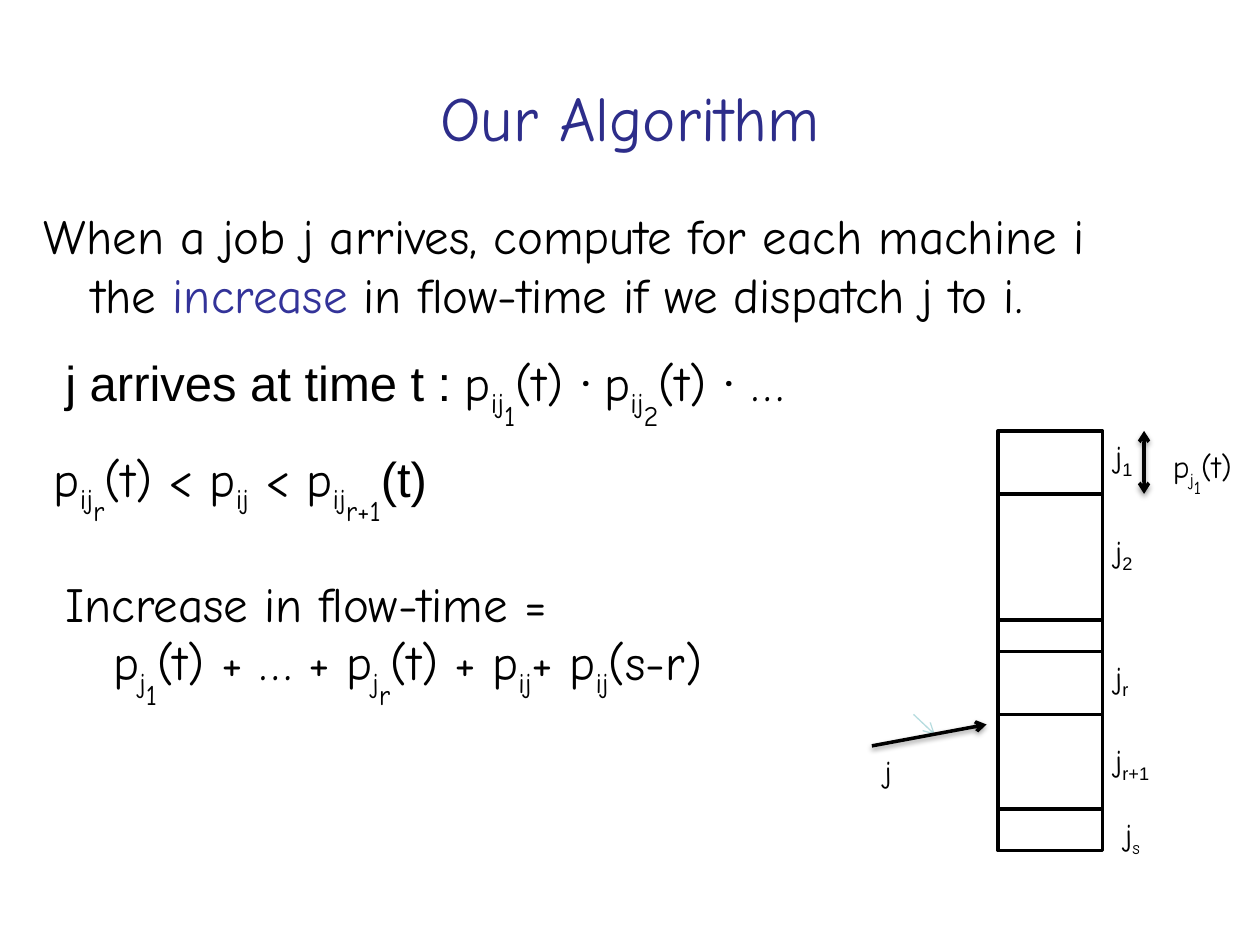
from dataclasses import dataclass

import pptx
import pptx.dml.color
import pptx.enum.shapes
import pptx.enum.text
import pptx.util
from lxml import etree
from pptx.oxml.ns import qn
from pptx.util import Inches

BLACK, NAVY, INDIGO, PALE_TEAL = "000000", "2D2D8A", "333399", "B6DCDF"
HAND, SANS, DOT = "Comic Neue", "Arial", "Roboto"
BODY_SIZE, LABEL_SIZE = 28, 18
CONTINUATION = 0.38
STACK_LEFT, STACK_TOP, STACK_WIDTH = 7.92, 3.42, 0.83


@dataclass
class Run:
    text: str
    level: int = 0  # 1 is a subscript, 2 a subscript of a subscript
    font: str = HAND
    color: str = BLACK


@dataclass
class Line:
    runs: list[Run]
    indent: float = 0


@dataclass
class Job:
    height: float
    index: list[Run]
    label_left: float = 8.75
    label_top: float = 0
    label_width: float = 0.4


def rgb(color: str) -> pptx.dml.color.RGBColor:
    return pptx.dml.color.RGBColor.from_string(color)


def term(base: str, sub: str = "", subsub: str = "") -> list[Run]:
    """Runs of a symbol with up to two levels of subscript."""
    return [Run(text, level) for level, text in enumerate((base, sub, subsub)) if text]


def add_text(slide, left: float, top: float, width: float, height: float,
             lines: list[Line], size: int = BODY_SIZE, wrap: bool = True):
    box = slide.shapes.add_textbox(Inches(left), Inches(top), Inches(width), Inches(height))
    frame = box.text_frame
    frame.word_wrap = wrap
    frame.auto_size = pptx.enum.text.MSO_AUTO_SIZE.SHAPE_TO_FIT_TEXT
    for number, line in enumerate(lines):
        paragraph = frame.add_paragraph() if number else frame.paragraphs[0]
        if line.indent:
            paragraph._p.get_or_add_pPr().set("marL", str(Inches(line.indent)))
        for part in line.runs:
            run = paragraph.add_run()
            run.text = part.text
            run.font.size = pptx.util.Pt(size)
            run.font.name = part.font
            run.font.color.rgb = rgb(part.color)
            if part.level:
                run._r.get_or_add_rPr().set("baseline", str(-25000 * part.level))
    return frame


def add_label(slide, left: float, top: float, width: float, runs: list[Run]) -> None:
    add_text(slide, left, top, width, 0.4, [Line(runs)], LABEL_SIZE, wrap=False)


def add_job_box(slide, top: float, height: float) -> None:
    box = slide.shapes.add_shape(pptx.enum.shapes.MSO_SHAPE.RECTANGLE, Inches(STACK_LEFT),
                                 Inches(top), Inches(STACK_WIDTH), Inches(height))
    box.shadow.inherit = False
    box.fill.background()
    box.line.color.rgb = rgb(BLACK)
    box.line.width = pptx.util.Pt(2)


def add_arrow(slide, start: tuple[float, float], end: tuple[float, float], color: str = BLACK,
              width: float = 2, both_ends: bool = False, shadow: bool = True) -> None:
    arrow = slide.shapes.add_connector(pptx.enum.shapes.MSO_CONNECTOR.STRAIGHT,
                                       *map(Inches, start + end))
    arrow.line.color.rgb = rgb(color)
    arrow.line.width = pptx.util.Pt(width)
    outline = arrow.line._get_or_add_ln()
    for tag in ("a:headEnd", "a:tailEnd") if both_ends else ("a:tailEnd",):
        etree.SubElement(outline, qn(tag), type="arrow")
    effects = etree.SubElement(arrow._element.spPr, qn("a:effectLst"))
    if shadow:
        cast = etree.SubElement(effects, qn("a:outerShdw"), blurRad=str(pptx.util.Pt(3.1)),
                                dist=str(pptx.util.Pt(1.6)), dir="5400000", rotWithShape="0")
        tint = etree.SubElement(cast, qn("a:srgbClr"), val=BLACK)
        etree.SubElement(tint, qn("a:alpha"), val="38000")


def add_explanation(slide) -> None:
    title = add_text(slide, 0.5, 0.3, 9, 1.25, [Line([Run("Our Algorithm", color=NAVY)])], 36)
    title.auto_size = pptx.enum.text.MSO_AUTO_SIZE.NONE
    title.vertical_anchor = pptx.enum.text.MSO_ANCHOR.MIDDLE
    title.paragraphs[0].alignment = pptx.enum.text.PP_ALIGN.CENTER

    add_text(slide, 0.25, 1.58, 9.21, 1.04, [
        Line([Run("When a job j arrives, compute for each machine i")]),
        Line([Run("the "), Run("increase ", color=INDIGO),
              Run("in flow-time if we dispatch j to i.")], CONTINUATION)])
    add_text(slide, 0.42, 2.75, 6.76, 0.57, [Line([
        Run("j arrives at time t : ", font=SANS),
        *term("p", "ij", "1"), Run("(t) "), Run("· ", font=DOT),
        *term("p", "ij", "2"), Run("(t) "), Run("·", font=DOT), Run(" …")])])
    add_text(slide, 0.33, 3.51, 3.67, 0.57, [Line([
        *term("p", "ij", "r"), *term("(t) < p", "ij"),
        *term(" < p", "ij", "r+1"), Run("(t)", font=SANS)])])
    add_text(slide, 0.42, 4.5, 5.83, 1.04, [
        Line([Run("Increase in flow-time =")]),
        Line([*term("p", "j", "1"), *term("(t) + … + p", "j", "r"), *term("(t) + p", "ij"),
              *term("+ p", "ij"), Run("(s-r)")], CONTINUATION)])


def add_job_stack(slide) -> None:
    jobs = [
        Job(0.5, [Run("1", 1, SANS)], label_top=3.42),
        Job(1, [Run("2", 1, SANS)], label_top=4.17),
        Job(0.25, []),
        Job(0.5, [Run("r", 1, SANS)], label_top=5.17, label_width=0.36),
        Job(0.75, [Run("r+1", 1, SANS)], label_top=5.83, label_width=0.55),
        Job(0.33, [Run("s", 1)], 8.83, 6.42, 0.39),
    ]
    top = STACK_TOP
    for job in jobs:
        add_job_box(slide, top, job.height)
        if job.index:
            add_label(slide, job.label_left, job.label_top, job.label_width,
                      [Run("j"), *job.index])
        top += job.height

    add_label(slide, 9.21, 3.5, 0.79, [*term("p", "j", "1"), Run("(t)")])
    add_label(slide, 6.92, 5.92, 0.3, [Run("j")])
    add_arrow(slide, (7.25, 5.67), (7.42, 5.83), PALE_TEAL, 0.75, shadow=False)
    add_arrow(slide, (6.92, 5.92), (7.83, 5.75))
    add_arrow(slide, (9.08, STACK_TOP), (9.08, STACK_TOP + jobs[0].height), both_ends=True)


def main() -> None:
    presentation = pptx.Presentation()
    presentation.slide_width, presentation.slide_height = Inches(10), Inches(7.5)
    slide = presentation.slides.add_slide(presentation.slide_layouts[6])
    add_explanation(slide)
    add_job_stack(slide)
    presentation.save("out.pptx")


if __name__ == "__main__":
    main()
